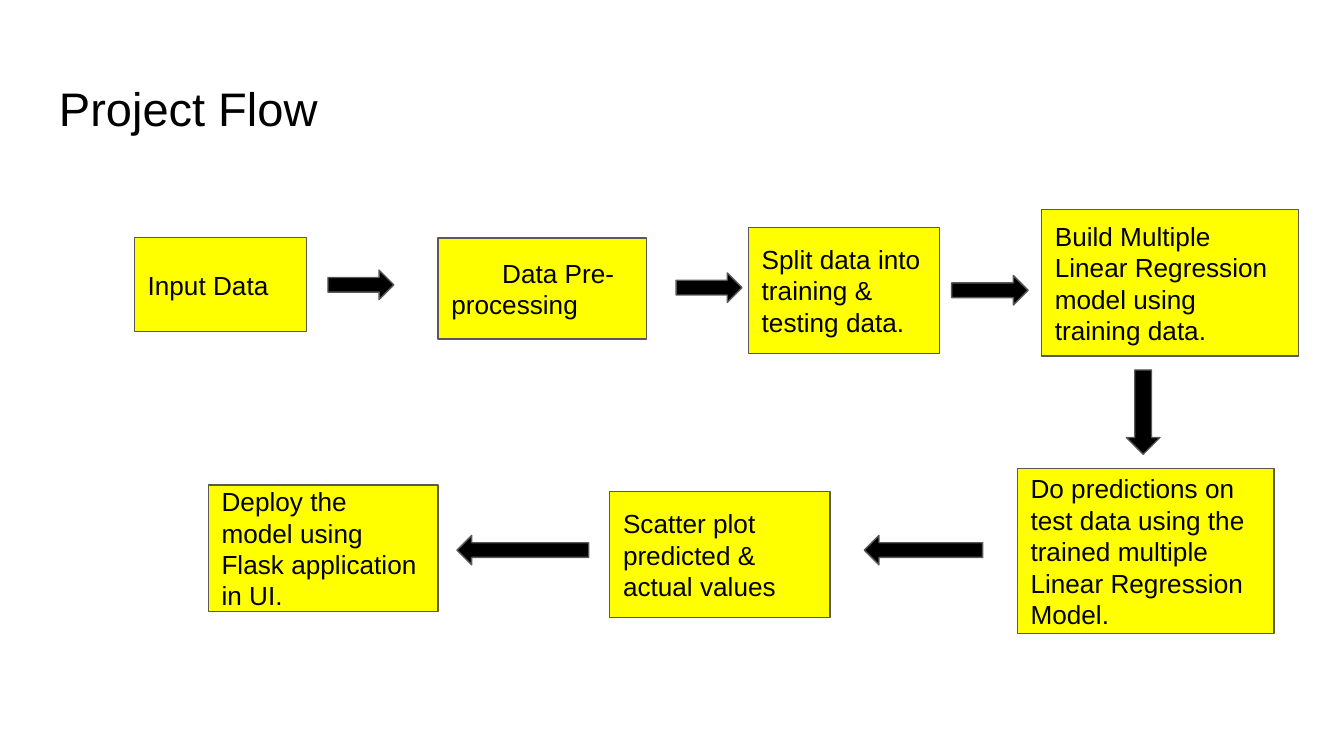
from pptx import Presentation
from pptx.dml.color import RGBColor
from pptx.enum.shapes import MSO_SHAPE as SHAPE
from pptx.enum.text import MSO_ANCHOR as ANCHOR, PP_ALIGN as ALIGN
from pptx.util import Pt

FRAME = {"word_wrap": True, "margin_left": Pt(7.2), "margin_right": Pt(7.2),
         "margin_top": Pt(7.2), "margin_bottom": Pt(7.2)}

# text, left, top, width, height, first-line indent
STEPS = [
    ("Input Data", 72, 127.4, 92.2, 50.4, 0),
    ("Data Pre-processing", 234.7, 127.6, 111.6, 54, 27.2),
    ("Split data into training & testing data.", 401, 121.8, 102.2, 67.7, 0),
    ("Build Multiple Linear Regression model using training data.",
     558, 112.3, 137.5, 78.5, 0),
    ("Do predictions on test data using the trained multiple "
     "Linear Regression Model.", 545, 251.1, 137.5, 88.4, 0),
    ("Scatter plot predicted & actual values", 326.7, 263.3, 118.1, 67.7, 0),
    ("Deploy the model using Flask application in UI.",
     111.6, 259.9, 123.1, 67.7, 0),
]

# kind, left, top, width, height
ARROWS = [
    (SHAPE.RIGHT_ARROW, 175.7, 144.7, 35.3, 15.8),
    (SHAPE.RIGHT_ARROW, 362.2, 146.2, 35.3, 15.8),
    (SHAPE.RIGHT_ARROW, 509.8, 147.6, 41, 15.8),
    (SHAPE.DOWN_ARROW, 603.4, 198.2, 18, 45.2),
    (SHAPE.LEFT_ARROW, 463, 286.8, 63.4, 15.8),
    (SHAPE.LEFT_ARROW, 244.8, 286.8, 70.6, 15.8),
]


def color(value):
    """Turn a hex string into a colour."""
    return RGBColor.from_string(value)


def apply(target, values):
    """Set every attribute named in a dict."""
    for name, value in values.items():
        setattr(target, name, value)


def write(tf, text, size, anchor, indent=0):
    """Fill a text frame with one left-aligned black paragraph."""
    apply(tf, {**FRAME, "vertical_anchor": anchor})
    p = tf.paragraphs[0]
    p.alignment = ALIGN.LEFT
    if indent:
        p._p.get_or_add_pPr().set("indent", str(Pt(indent)))
    r = p.add_run()
    r.text = text
    apply(r.font, {"name": "Arial", "size": Pt(size)})
    r.font.color.rgb = color("000000")


def add_title(s, text):
    """Add the slide heading."""
    box = s.shapes.add_textbox(Pt(24.5), Pt(35.3), Pt(671), Pt(45.4))
    write(box.text_frame, text, 25.2, ANCHOR.TOP)


def add_block(s, kind, bounds, fill):
    """Add a filled shape with a thin grey outline."""
    sp = s.shapes.add_shape(kind, *map(Pt, bounds))
    sp.shadow.inherit = False
    sp.fill.solid()
    sp.fill.fore_color.rgb = color(fill)
    sp.line.color.rgb = color("595959")
    sp.line.width = Pt(0.75)
    return sp


def main():
    """Build the project flow slide."""
    prs = Presentation()
    apply(prs, {"slide_width": Pt(720), "slide_height": Pt(405)})
    s = prs.slides.add_slide(prs.slide_layouts[6])
    add_title(s, "Project Flow")
    for text, *bounds, indent in STEPS:
        sp = add_block(s, SHAPE.RECTANGLE, bounds, "FFFF00")
        write(sp.text_frame, text, 14, ANCHOR.MIDDLE, indent)
    for kind, *bounds in ARROWS:
        add_block(s, kind, bounds, "000000")
    prs.save("out.pptx")


main()
